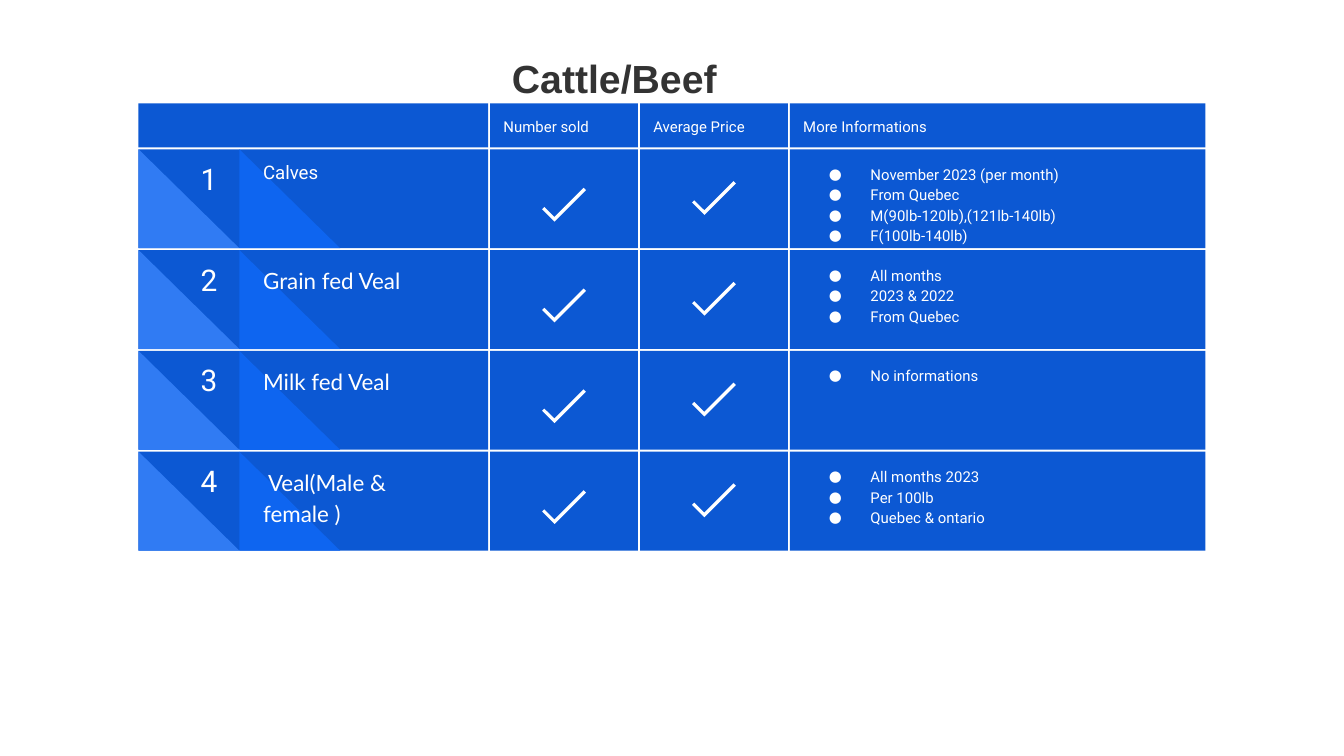
from lxml.etree import SubElement
from pptx import Presentation
from pptx.dml.color import RGBColor
from pptx.enum.shapes import MSO_SHAPE as Geo
from pptx.enum.text import MSO_ANCHOR as Anchor, PP_ALIGN as Align
from pptx.oxml.ns import qn
from pptx.util import Pt

TITLE = "Cattle/Beef"
HEADS = ["", "Number sold", "Average Price", "More Informations"]
ROWS = [
    ("Calves", "first", ["November 2023 (per month)", "From Quebec",
                         "M(90lb-120lb),(121lb-140lb)", "F(100lb-140lb)"]),
    ("Grain fed Veal", "name", ["All months", "2023 & 2022", "From Quebec"]),
    ("Milk fed Veal", "name", ["No informations"]),
    (" Veal(Male & female )", "name",
     ["All months 2023", "Per 100lb", "Quebec & ontario"]),
]

THEME = {
    "cell": "0C58D3", "mid": "0E65F0", "light": "307BF3", "white": "FFFFFF",
    # font, size, colour, bold, line spacing, space after
    "title": ("Arial", 21, "333333", True, 1.15, 8),
    "head": ("Roboto", 8, "FFFFFF", False, 1.15, 0),
    "digit": ("Roboto", 16, "FFFFFF", False, 1.0, 0),
    "first": ("Roboto", 10, "FFFFFF", False, 1.0, 0),
    "name": ("Lato", 12, "FFFFFF", False, 1.15, 16),
}

LEFT, TOP, GAP_X, GAP_Y = 74.2, 55.4, 1.1, 1
WIDTHS = [187.3, 79.2, 79.2, 222.5]
HEAD_H, ROW_H = 23.6, 53
TRI_W = 54
TICK_W, TICK_H = 23.8, 9.4
TICK_MIDS = {1: 27, 2: 23.4}  # column: tick centre below the row top
COLS = [LEFT + sum(WIDTHS[:i]) + i * GAP_X for i in range(len(WIDTHS))]


def box(shapes, kind, x, y, w, h, fill):
    shape = shapes.add_shape(kind, Pt(x), Pt(y), Pt(w), Pt(h))
    shape.shadow.inherit = False
    shape.fill.solid()
    shape.fill.fore_color.rgb = RGBColor.from_string(THEME[fill])
    shape.line.fill.background()
    return shape


def write(shape, lines, style, align=Align.LEFT, anchor=Anchor.TOP,
          dots=False):
    font, size, tint, bold, space, after = THEME[style]
    frame = shape.text_frame
    frame.word_wrap = True
    frame.vertical_anchor = anchor
    frame.margin_left = frame.margin_right = Pt(7.2)
    frame.margin_top = frame.margin_bottom = Pt(7.2)
    for i, line in enumerate(lines):
        para = frame.add_paragraph() if i else frame.paragraphs[0]
        para.alignment = align
        para.line_spacing = space
        para.space_before, para.space_after = Pt(0), Pt(after)
        run = para.add_run()
        run.text = line
        run.font.name, run.font.size, run.font.bold = font, Pt(size), bold
        run.font.color.rgb = RGBColor.from_string(tint)
        if dots:
            bullet(para, tint)


def bullet(para, tint):
    props = para._p.get_or_add_pPr()
    props.set("marL", str(Pt(36)))
    props.set("indent", str(Pt(-22.3)))
    SubElement(SubElement(props, qn("a:buClr")), qn("a:srgbClr"), val=tint)
    SubElement(props, qn("a:buFont"), typeface="Roboto")
    SubElement(props, qn("a:buChar"), char="●")


def label(shapes, x, y, w, h, text, style, **kw):
    area = shapes.add_textbox(Pt(x), Pt(y), Pt(w), Pt(h))
    write(area, [text], style, **kw)


def tick(shapes, col, y):
    x = COLS[col] + (WIDTHS[col] - TICK_W) / 2
    mark = box(shapes, Geo.CORNER, x, y + TICK_MIDS[col] - TICK_H / 2,
               TICK_W, TICK_H, "white")
    mark.adjustments[0], mark.adjustments[1] = 0.19, 0.18
    mark.rotation = 315


def add_row(slide, i, name, style, notes):
    shapes = slide.shapes.add_group_shape().shapes
    y = TOP + HEAD_H + GAP_Y + i * (ROW_H + GAP_Y)
    cells = [box(shapes, Geo.RECTANGLE, x, y, w, ROW_H, "cell")
             for x, w in zip(COLS, WIDTHS)]
    write(cells[-1], notes, "head", dots=True)
    for n, fill in enumerate(["light", "mid"]):
        box(shapes, Geo.RIGHT_TRIANGLE, LEFT + n * TRI_W, y,
            TRI_W, ROW_H, fill)
    label(shapes, LEFT + 20.9, y, 33.8, 32.4, str(i + 1), "digit",
          align=Align.CENTER, anchor=Anchor.BOTTOM)
    label(shapes, LEFT + 59.7, y, 117.4, ROW_H, name, style)
    for col in TICK_MIDS:
        tick(shapes, col, y)


def main():
    deck = Presentation()
    deck.slide_width, deck.slide_height = Pt(720), Pt(405)
    slide = deck.slides.add_slide(deck.slide_layouts[5])
    title = slide.shapes.title
    title.left, title.top = Pt(211), Pt(18)
    title.width, title.height = Pt(236.2), Pt(40.3)
    write(title, [TITLE], "title", align=Align.CENTER)
    for x, w, text in zip(COLS, WIDTHS, HEADS):
        cell = box(slide.shapes, Geo.RECTANGLE, x, TOP, w, HEAD_H, "cell")
        if text:
            write(cell, [text], "head", anchor=Anchor.MIDDLE)
    for i, row in enumerate(ROWS):
        add_row(slide, i, *row)
    deck.save("out.pptx")


if __name__ == "__main__":
    main()
